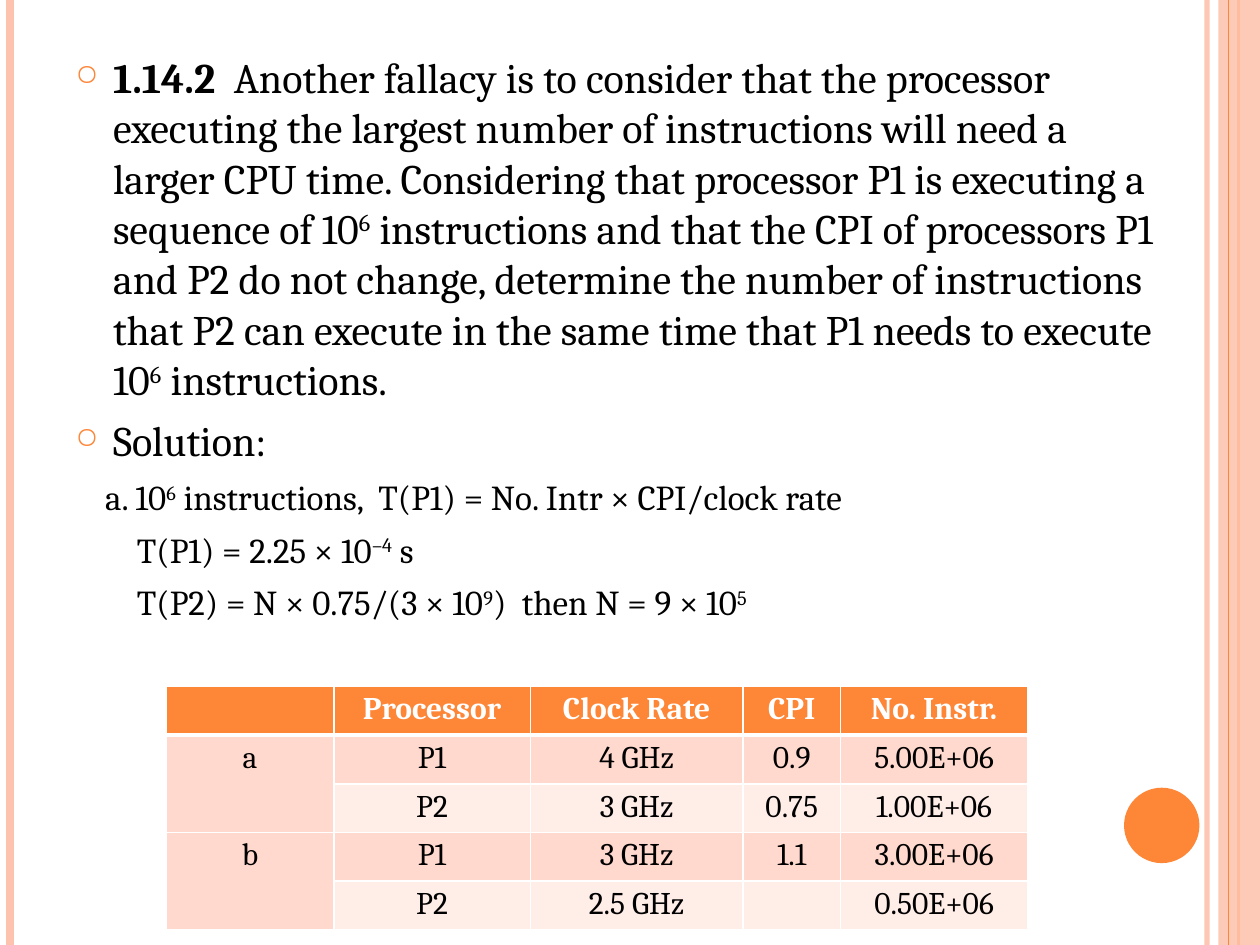
from lxml.etree import SubElement as Sub
from pptx import Presentation
from pptx.dml.color import RGBColor as Rgb
from pptx.enum.shapes import MSO_CONNECTOR as Link, MSO_SHAPE as Kind
from pptx.enum.text import PP_ALIGN as Align
from pptx.oxml.ns import qn
from pptx.util import Cm, Pt

WIDE, HIGH = 25.4, 19.05
FONT, INK, WHITE = "Cambria", "000000", "FFFFFF"
ORANGE, PEACH = "FE8637", "FEC3AE"
BANDS = ["FFD9CE", "FFEDE8"]

# x in cm, width in points, colour, opacity in percent
BACK = [(24.33, 3, PEACH, 93), (0.2, 4.5, PEACH, 100), (24.97, 1.5, ORANGE, 100)]
FRONT = [(24.77, 0.75, ORANGE, 100)]

# Text between carets is superscript
TASK = (
    "  Another fallacy is to consider that the processor executing the largest "
    "number of instructions will need a larger CPU time. Considering that "
    "processor P1 is executing a sequence of 10^6^ instructions and that the CPI "
    "of processors P1 and P2 do not change, determine the number of instructions "
    "that P2 can execute in the same time that P1 needs to execute 10^6^ "
    "instructions."
)
# bold lead, text, size, left margin in cm, bullet
LINES = [
    ("1.14.2", TASK, 24, 0.76, True),
    ("", "Solution:", 24, 0.76, True),
    ("", "a. 10^6^ instructions,  T(P1) = No. Intr × CPI/clock rate", 20, 0.6, False),
    ("", "T(P1) = 2.25 × 10^–4^ s", 20, 1.24, False),
    ("", "T(P2) = N × 0.75/(3 × 10^9^)  then N = 9 × 10^5^", 20, 1.24, False),
]

COLS = [3.38, 3.96, 4.29, 1.96, 3.78]
ROW = 0.98
ROWS = [
    ["", "Processor", "Clock Rate", "CPI", "No. Instr."],
    ["a", "P1", "4 GHz", "0.9", "5.00E+06"],
    ["", "P2", "3 GHz", "0.75", "1.00E+06"],
    ["b", "P1", "3 GHz", "1.1", "3.00E+06"],
    ["", "P2", "2.5 GHz", "", "0.50E+06"],
]


def hue(code):
    """Turn a hex string into a colour."""
    return Rgb.from_string(code)


def fade(props, pct):
    """Set the opacity of the solid colour inside props."""
    if pct < 100:
        tint = next(props.iter(qn("a:srgbClr")))
        Sub(tint, qn("a:alpha"), val=str(pct * 1000))


def put(para, text, size=18, color=INK, bold=False, align=None):
    """Add text to a paragraph, raising what stands between carets."""
    para.alignment = align
    for i, part in enumerate(text.split("^")):
        if not part:
            continue
        run = para.add_run()
        run.text = part
        font = run.font
        font.name, font.size, font.bold = FONT, Pt(size), bold
        font.color.rgb = hue(color)
        if i % 2:
            run._r.get_or_add_rPr().set("baseline", "30000")


def rail(slide, x, width, color, pct):
    """Draw a vertical line over the full slide height."""
    line = slide.shapes.add_connector(Link.STRAIGHT, Cm(x), 0, Cm(x), Cm(HIGH))
    line.line.width = Pt(width)
    line.line.color.rgb = hue(color)
    props = line._element.spPr
    fade(props, pct)
    Sub(props, qn("a:effectLst"))


def block(slide, kind, box, color, pct=100):
    """Draw a plain filled shape."""
    shape = slide.shapes.add_shape(kind, *map(Cm, box))
    shape.shadow.inherit = False
    shape.fill.solid()
    shape.fill.fore_color.rgb = hue(color)
    shape.line.fill.background()
    fade(shape._element.spPr, pct)


def indent(para, left, dot):
    """Set the left margin and, if wanted, a hanging ring bullet."""
    props = para._p.get_or_add_pPr()
    props.set("marL", str(Cm(left)))
    props.set("indent", str(-Cm(left) if dot else 0))
    if dot:
        tint = Sub(props, qn("a:buClr"))
        Sub(tint, qn("a:srgbClr"), val=ORANGE)
        Sub(props, qn("a:buSzPct"), val="70000")
        Sub(props, qn("a:buChar"), char="○")


def body(slide):
    """Write the task and its solution."""
    box = slide.shapes.add_textbox(Cm(1.27), Cm(0.91), Cm(22.63), Cm(12.8))
    frame = box.text_frame
    frame.word_wrap = True
    for i, (lead, text, size, left, dot) in enumerate(LINES):
        para = frame.add_paragraph() if i else frame.paragraphs[0]
        para.space_before = Pt(6)
        indent(para, left, dot)
        put(para, lead, size, bold=True)
        put(para, text, size)


def edge(cell, sides):
    """Draw white cell borders; sides maps a side to its width in points."""
    props = cell._tc.get_or_add_tcPr()
    for side, width in sides.items():
        line = Sub(props, qn("a:ln" + side), w=str(Pt(width)))
        Sub(Sub(line, qn("a:solidFill")), qn("a:srgbClr"), val=WHITE)


def grid(slide):
    """Build the table of processors."""
    size = Cm(sum(COLS)), Cm(ROW * len(ROWS))
    table = slide.shapes.add_table(
        len(ROWS), len(COLS), Cm(3.35), Cm(13.84), *size).table
    table.horz_banding = False
    for col, width in zip(table.columns, COLS):
        col.width = Cm(width)
    for r, row in enumerate(ROWS):
        table.rows[r].height = Cm(ROW)
        head = r == 0
        for c, text in enumerate(row):
            cell = table.cell(r, c)
            cell.margin_top = cell.margin_bottom = Cm(0.1)
            edge(cell, {"L": 1, "R": 1, "T": 3 if r == 1 else 1, "B": 3 if head else 1})
            cell.fill.solid()
            band = BANDS[0 if c == 0 else (r - 1) % 2]
            cell.fill.fore_color.rgb = hue(ORANGE if head else band)
            put(cell.text_frame.paragraphs[0], text, bold=head,
                color=WHITE if head else INK, align=Align.CENTER)
    for r in (1, 3):
        table.cell(r, 0).merge(table.cell(r + 1, 0))


def main():
    """Build and save the slide."""
    deck = Presentation()
    deck.slide_width, deck.slide_height = Cm(WIDE), Cm(HIGH)
    slide = deck.slides.add_slide(deck.slide_layouts[6])
    for item in BACK:
        rail(slide, *item)
    block(slide, Kind.RECTANGLE, (24.56, 0, 0.84, HIGH), PEACH, 87)
    for item in FRONT:
        rail(slide, *item)
    block(slide, Kind.OVAL, (22.66, 15.88, 1.52, 1.52), ORANGE)
    body(slide)
    grid(slide)
    deck.save("out.pptx")


main()
